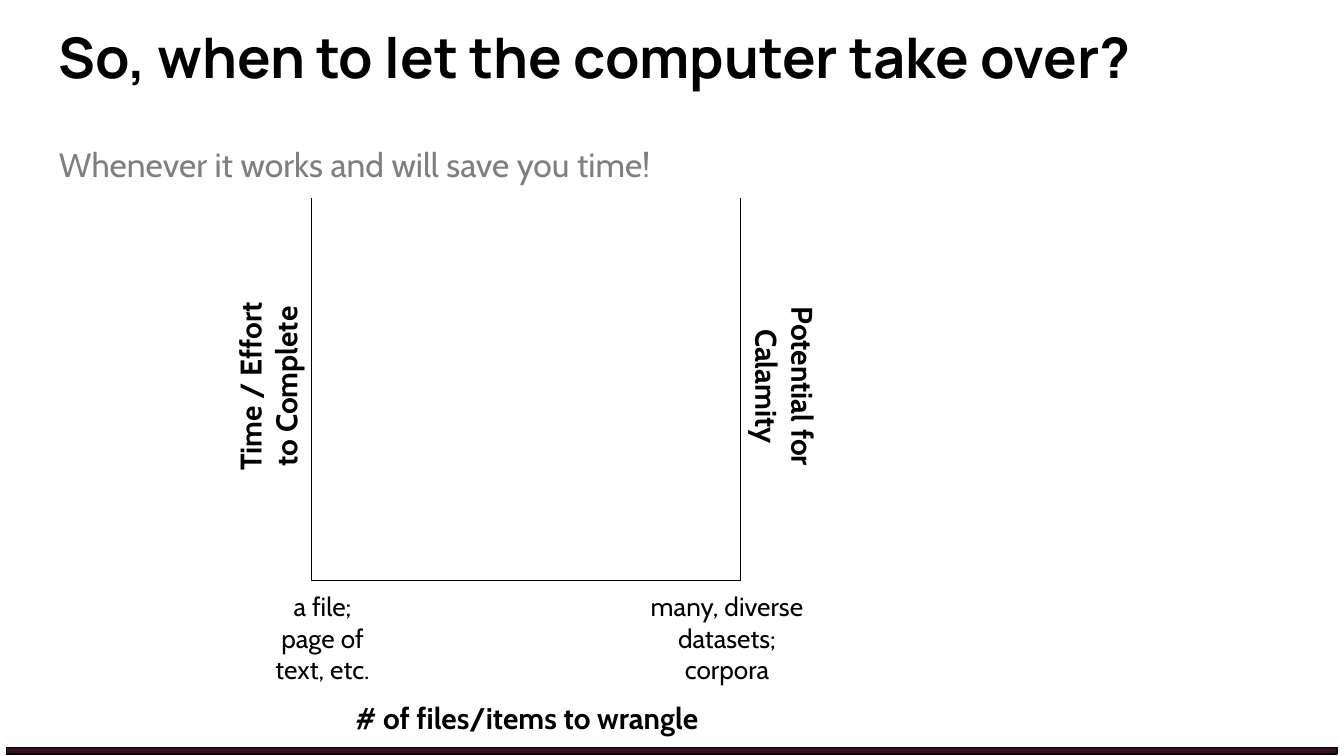
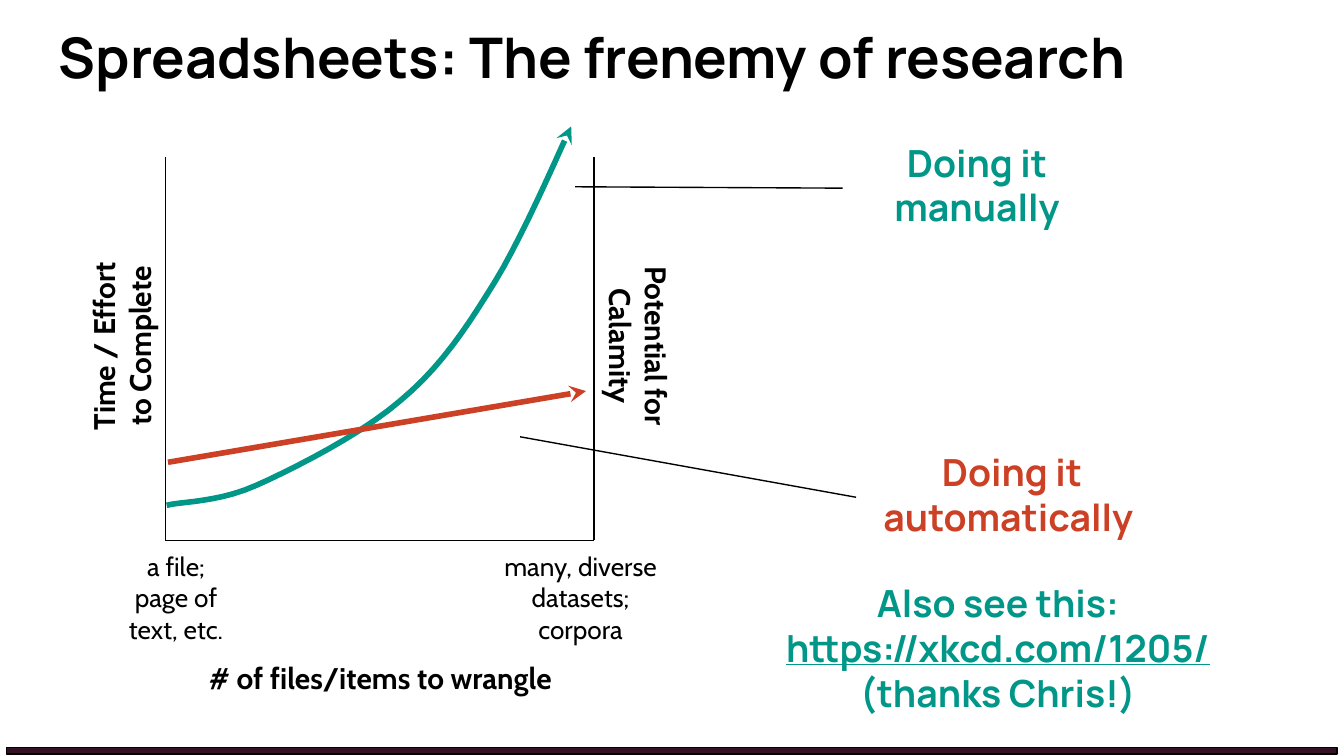
import pptx
import pptx.dml.color
import pptx.enum.shapes
import pptx.enum.text
import pptx.oxml
import pptx.oxml.ns
import pptx.util

Inches = pptx.util.Inches
Pt = pptx.util.Pt
ALIGN = pptx.enum.text.PP_ALIGN
ANCHOR = pptx.enum.text.MSO_ANCHOR
SHAPE = pptx.enum.shapes.MSO_SHAPE
STRAIGHT = pptx.enum.shapes.MSO_CONNECTOR.STRAIGHT

BLACK, GREY, PLUM = "000000", "7F7F7F", "361024"
TEAL, RED = "009688", "CC4125"

TITLE = {"name": "Manrope", "size": Pt(30), "bold": True}
CALLOUT = {"name": "Manrope", "size": Pt(20), "bold": True}
BODY = {"name": "Cabin", "size": Pt(18)}
AXIS = {"name": "Cabin", "size": Pt(16), "bold": True}
TICK = {"name": "Cabin", "size": Pt(14)}

PLOT_W, PLOT_H = 3.19, 2.85


def rgb(value):
    return pptx.dml.color.RGBColor.from_string(value)


def element(tag, attributes=""):
    ns = pptx.oxml.ns.nsdecls("a")
    return pptx.oxml.parse_xml(f"<a:{tag} {ns} {attributes}/>")


def bezier(start, segments, steps=10):
    """Return points along joined cubic curves, each given as two controls and an end."""
    points = [start]
    for c1, c2, end in segments:
        corners = (points[-1], c1, c2, end)
        for i in range(1, steps + 1):
            t = i / steps
            weights = ((1 - t) ** 3, 3 * t * (1 - t) ** 2, 3 * t ** 2 * (1 - t), t ** 3)
            points.append(tuple(sum(w * c[k] for w, c in zip(weights, corners))
                                for k in (0, 1)))
    return points


class Deck:
    """Holds the shared style and the slide being drawn."""

    def __init__(self):
        self.prs = pptx.Presentation()
        self.prs.slide_width = Inches(10)
        self.prs.slide_height = Inches(10) * 9 // 16
        self.s = None

    def slide(self, title):
        self.s = self.prs.slides.add_slide(self.prs.slide_layouts[6])
        self.band(0.05, 5.56, 9.9, 0.05)
        self.text(0.34, 0.07, 9.32, 0.68, title, TITLE, align=ALIGN.LEFT)

    def band(self, x, y, w, h):
        sp = self.s.shapes.add_shape(SHAPE.RECTANGLE, *map(Inches, (x, y, w, h)))
        sp.shadow.inherit = False
        sp.fill.solid()
        sp.fill.fore_color.rgb = rgb(PLUM)
        self.stroke(sp, BLACK, 0.75)

    def text(self, x, y, w, h, runs, style, color=BLACK, align=ALIGN.CENTER,
             anchor=ANCHOR.TOP, rotation=0, spacing=1.0):
        """Add a text box; runs is a string or a list of (text, extra format) pairs."""
        sp = self.s.shapes.add_textbox(*map(Inches, (x, y, w, h)))
        sp.rotation = rotation
        tf = sp.text_frame
        frame = {"word_wrap": True, "vertical_anchor": anchor}
        for side in ("left", "top", "right", "bottom"):
            frame["margin_" + side] = Inches(0.1)
        for key, value in frame.items():
            setattr(tf, key, value)
        p = tf.paragraphs[0]
        p.alignment = align
        p.line_spacing = spacing
        for words, extra in ([(runs, {})] if isinstance(runs, str) else runs):
            r = p.add_run()
            r.text = words
            for key, value in {**style, **extra}.items():
                setattr(r.font, key, value)
            r.font.color.rgb = rgb(color)

    def stroke(self, sp, color, width, arrow=False):
        sp.line.color.rgb = rgb(color)
        sp.line.width = Pt(width)
        if arrow:
            sp.line._get_or_add_ln().append(element("tailEnd", 'type="stealth"'))

    def line(self, start, end, color=BLACK, width=0.75, arrow=False):
        cx = self.s.shapes.add_connector(STRAIGHT, *map(Inches, (*start, *end)))
        self.stroke(cx, color, width, arrow)
        cx._element.spPr.append(element("effectLst"))

    def curve(self, points, color, width):
        points = [(Inches(x), Inches(y)) for x, y in points]
        builder = self.s.shapes.build_freeform(*points[0])
        builder.add_line_segments(points[1:], close=False)
        sp = builder.convert_to_shape()
        sp.shadow.inherit = False
        sp.fill.background()
        self.stroke(sp, color, width, arrow=True)

    def effort_plot(self, left, top):
        """Draw the empty effort diagram with its labels; left, top is the plot corner."""
        right, bottom = left + PLOT_W, top + PLOT_H
        corners = [(left, top), (left, bottom), (right, bottom), (right, top)]
        for start, end in zip(corners, corners[1:]):
            self.line(start, end)
        self.text(left - 1.26, top + 1.13, 1.68, 0.55, "Time / Effort to Complete",
                  AXIS, rotation=270)
        self.text(left + 0.13, bottom + 0.79, 2.94, 0.34, "# of files/items to wrangle", AXIS)
        self.text(right - 0.37, top + 1.13, 1.59, 0.55, "Potential for Calamity",
                  AXIS, rotation=90)
        ticks = [(left + 0.08, 1.0, "a file; page of text, etc."),
                 (right - 0.1, 1.5, "many, diverse datasets; corpora")]
        for center, w, label in ticks:
            self.text(center - w / 2, bottom + 0.14, w, 0.57, label, TICK,
                      anchor=ANCHOR.MIDDLE)


def when_to_automate(deck):
    deck.slide("So, when to let the computer take over?")
    deck.text(0.34, 0.93, 9.32, 3.74, "Whenever it works and will save you time!",
              BODY, GREY, align=ALIGN.LEFT, spacing=1.15)
    deck.effort_plot(2.32, 1.47)


def spreadsheets(deck):
    deck.slide("Spreadsheets: The frenemy of research")
    deck.line((4.28, 1.39), (6.27, 1.4))
    deck.text(6.27, 0.94, 2, 0.92, "Doing it manually", CALLOUT, TEAL)
    deck.text(6.37, 3.24, 2.32, 0.92, "Doing it automatically ", CALLOUT, RED)
    deck.line((3.87, 3.25), (6.37, 3.7))
    deck.effort_plot(1.23, 1.17)
    manual_effort = bezier((1.24, 3.76), [
        ((1.35, 3.73), (1.62, 3.74), (1.91, 3.61)),
        ((2.2, 3.48), (2.69, 3.23), (2.98, 2.98)),
        ((3.28, 2.73), (3.47, 2.44), (3.68, 2.1)),
        ((3.89, 1.76), (4.16, 1.13), (4.25, 0.94)),
    ])
    deck.curve(manual_effort, TEAL, 3)
    deck.line((1.25, 3.44), (4.36, 2.91), RED, 3, arrow=True)
    see_also = [("Also see this: ", {}),
                ("https://xkcd.com/1205/", {"underline": True}),
                (" (thanks Chris!)", {})]
    deck.text(5.42, 4.22, 4.01, 1.27, see_also, CALLOUT, TEAL)


def main():
    deck = Deck()
    when_to_automate(deck)
    spreadsheets(deck)
    deck.prs.save("out.pptx")


if __name__ == "__main__":
    main()
